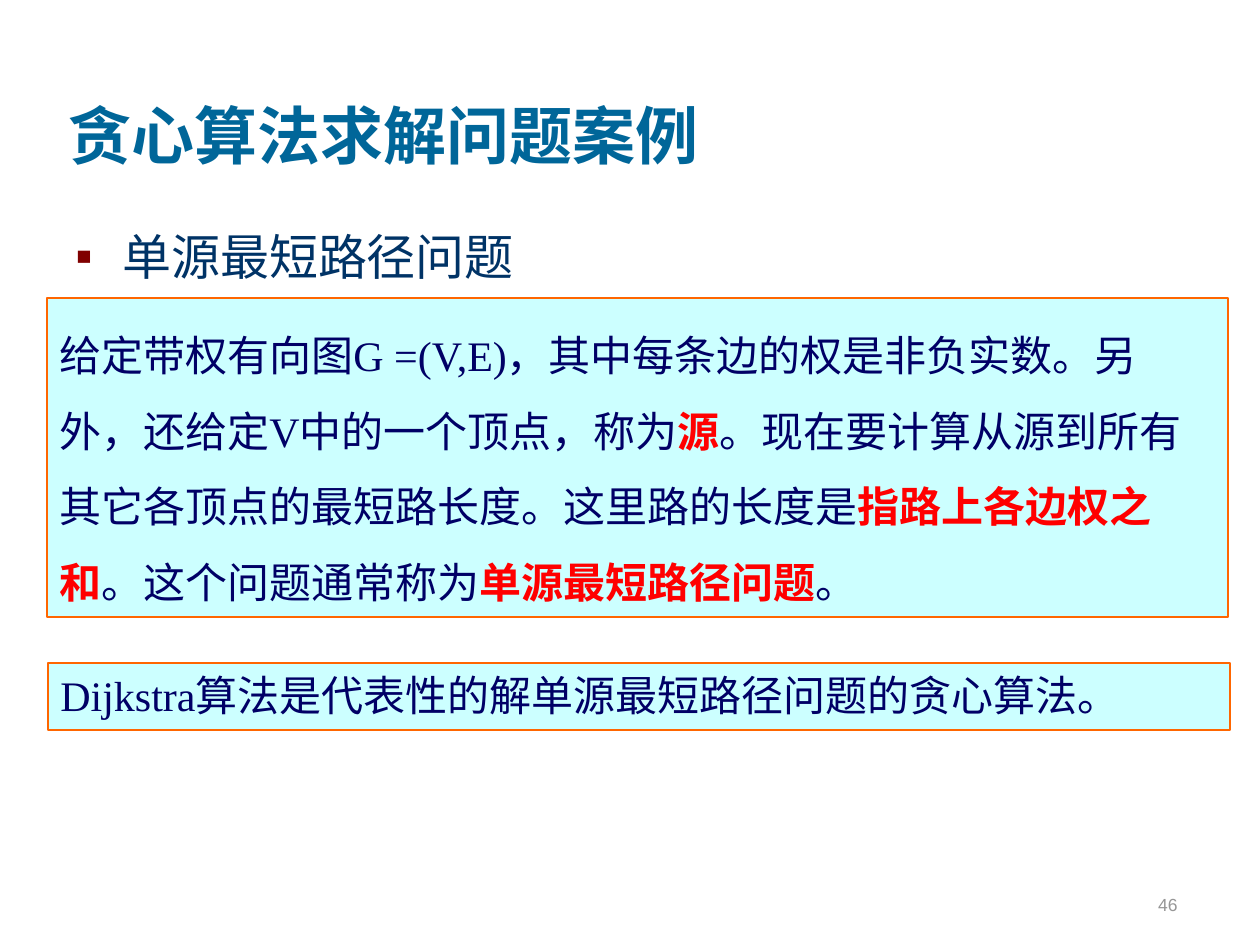
"""Build the slide that states the single-source shortest path problem."""
from lxml.etree import SubElement
from pptx import Presentation
from pptx.dml.color import RGBColor
from pptx.enum.lang import MSO_LANGUAGE_ID
from pptx.enum.shapes import MSO_SHAPE
from pptx.enum.text import MSO_ANCHOR, PP_ALIGN
from pptx.oxml.ns import qn
from pptx.util import Emu, Pt

TEAL = RGBColor(0x00, 0x66, 0x99)
SLATE = RGBColor(0x00, 0x33, 0x66)
NAVY = RGBColor(0x00, 0x00, 0x66)
RED = RGBColor(0xFF, 0x00, 0x00)
GREY = RGBColor(0x96, 0x96, 0x96)
CYAN = RGBColor(0xCC, 0xFF, 0xFF)
ORANGE = RGBColor(0xFF, 0x66, 0x00)
MAROON = RGBColor(0x80, 0x00, 0x00)
SERIF, SANS = "Times New Roman", "Arial"

TITLE = "贪心算法求解问题案例"
TOPIC = "单源最短路径问题"
PAGE_NUMBER = "46"
DEFINITION = [
    ("给定带权有向图G =(V,E)，其中每条边的权是非负实数。另外，还给定V中的一个顶点，称为", False),
    ("源", True),
    ("。现在要计算从源到所有其它各顶点的最短路长度。这里路的长度是", False),
    ("指路上各边权之和", True),
    ("。这个问题通常称为", False),
    ("单源最短路径问题", True),
    ("。", False),
]
ALGORITHM = [("Dijkstra算法是代表性的解单源最短路径问题的贪心算法。", False)]
PANELS = [
    ((47, 298, 1181, 319), DEFINITION, 1.5),
    ((48, 663, 1182, 67), ALGORITHM, 1.0),
]


def px(length):
    return Emu(round(length * 914400 / 126))


def box(bounds):
    return [px(length) for length in bounds]


def add_run(paragraph, text, size, color, bold=False, face=SERIF):
    run = paragraph.add_run()
    run.text = text
    run.font.size = Pt(size)
    run.font.name = face
    run.font.bold = bold
    run.font.color.rgb = color
    run.font.language_id = MSO_LANGUAGE_ID.SIMPLIFIED_CHINESE


def add_title(slide):
    title = slide.shapes.title
    title.left, title.top, title.width, title.height = box((56, 20, 1071, 158))
    title.text_frame.vertical_anchor = MSO_ANCHOR.BOTTOM
    heading = title.text_frame.paragraphs[0]
    heading.alignment = PP_ALIGN.LEFT
    add_run(heading, TITLE, 36, TEAL, bold=True)


def add_text_box(slide, bounds, anchor):
    frame = slide.shapes.add_textbox(*box(bounds)).text_frame
    frame.word_wrap = True
    frame.vertical_anchor = anchor
    return frame.paragraphs[0]


def add_topic(slide):
    topic = add_text_box(slide, (63, 220, 1126, 615), MSO_ANCHOR.TOP)
    topic.space_before = Pt(7)
    properties = topic._p.get_or_add_pPr()
    properties.set("marL", str(px(47)))
    properties.set("indent", str(-px(47)))
    bullet_color = SubElement(properties, qn("a:buClr"))
    SubElement(bullet_color, qn("a:srgbClr"), val=str(MAROON))
    SubElement(properties, qn("a:buFont"), typeface=SANS)
    SubElement(properties, qn("a:buChar"), char="▪")
    add_run(topic, TOPIC, 28, SLATE)


def add_page_number(slide):
    number = add_text_box(slide, (928, 858, 262, 63), MSO_ANCHOR.BOTTOM)
    number.alignment = PP_ALIGN.RIGHT
    add_run(number, PAGE_NUMBER, 10, GREY, face=SANS)


def add_panel(slide, bounds, statement, spacing):
    panel = slide.shapes.add_shape(MSO_SHAPE.RECTANGLE, *box(bounds))
    panel.shadow.inherit = False
    panel.fill.solid()
    panel.fill.fore_color.rgb = CYAN
    panel.line.color.rgb = ORANGE
    panel.line.width = Pt(1)
    panel.text_frame.word_wrap = True
    panel.text_frame.vertical_anchor = MSO_ANCHOR.TOP
    paragraph = panel.text_frame.paragraphs[0]
    paragraph.alignment = PP_ALIGN.LEFT
    paragraph.line_spacing = spacing
    paragraph._p.get_or_add_pPr().set("hangingPunct", "0")
    for text, key_term in statement:
        add_run(paragraph, text, 24, RED if key_term else NAVY, bold=key_term)


def main():
    deck = Presentation()
    deck.slide_width, deck.slide_height = px(1260), px(945)
    slide = deck.slides.add_slide(deck.slide_layouts[5])
    add_title(slide)
    add_topic(slide)
    add_page_number(slide)
    for bounds, statement, spacing in PANELS:
        add_panel(slide, bounds, statement, spacing)
    deck.save("out.pptx")


if __name__ == "__main__":
    main()
